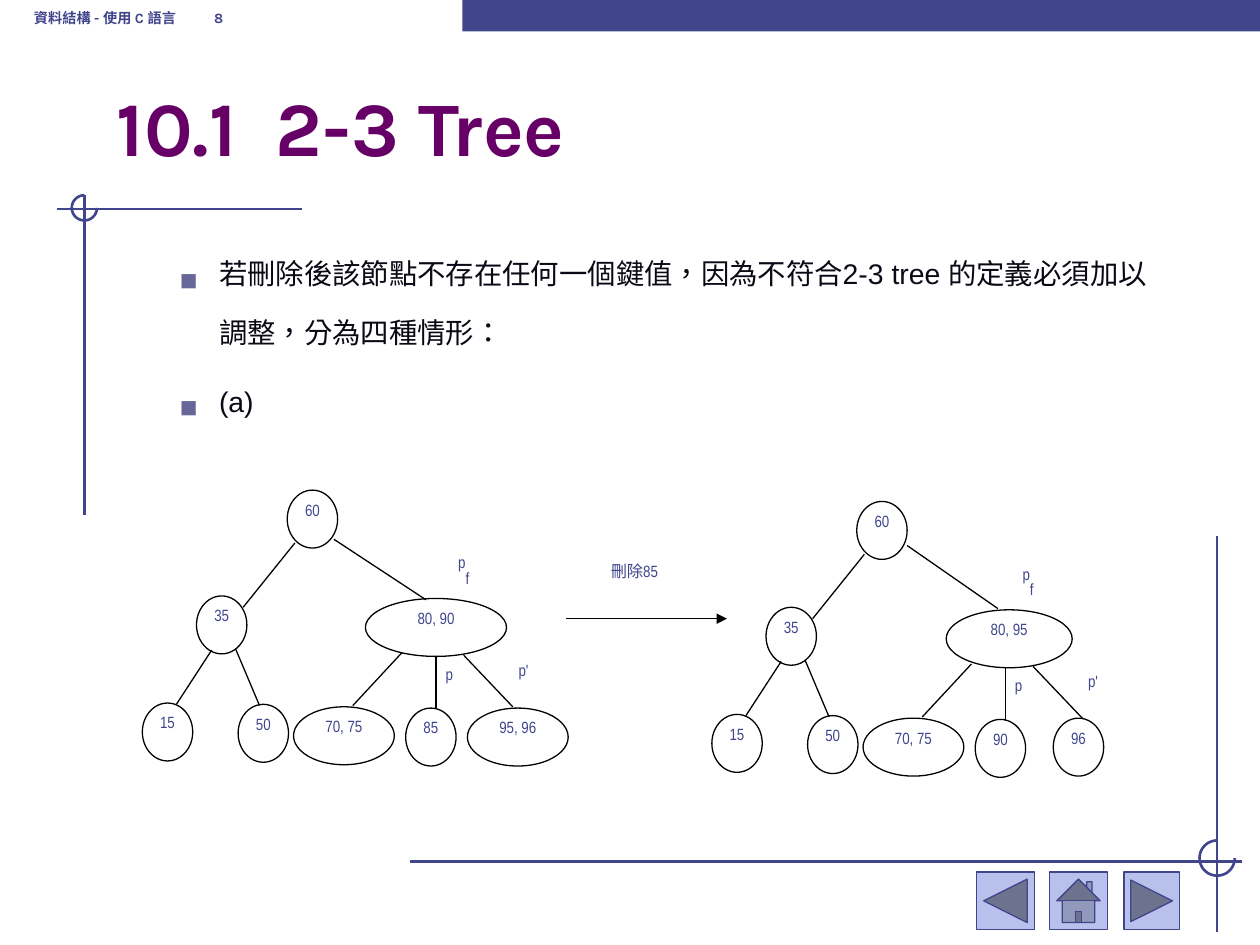
from math import cos, pi, sin
from lxml.etree import SubElement
from pptx import Presentation
from pptx.dml.color import RGBColor
from pptx.enum.shapes import MSO_CONNECTOR, MSO_SHAPE
from pptx.enum.text import MSO_ANCHOR, PP_ALIGN
from pptx.oxml.ns import qn
from pptx.util import Inches, Pt

NAVY, BLACK, PALE = "40458C", "000000", "B7C1EB"
RAISED, LOWERED = 30000, -25000
color = RGBColor.from_string

deck = Presentation()
deck.slide_width, deck.slide_height = Inches(10), Inches(7.5)
page = deck.slides.add_slide(deck.slide_layouts[6])


def add_line(start, end, ink=BLACK, width=0.75):
    ends = [Inches(value) for value in (*start, *end)]
    line = page.shapes.add_connector(MSO_CONNECTOR.STRAIGHT, *ends)
    line.line.color.rgb = color(ink)
    line.line.width = Pt(width)
    SubElement(line._element.spPr, qn("a:effectLst"))
    return line


def add_span(para, text, size, face, ink, bold=False, baseline=RAISED):
    span = para.add_run()
    span.text = text
    span.font.size = Pt(size)
    span.font.name = face
    span.font.bold = bold
    span.font.color.rgb = color(ink)
    span.font._element.set("lang", "zh-TW")
    if baseline:
        span.font._element.set("baseline", str(baseline))


# Frame lines with a three-quarter circle at each crossing
for start, end in [((2.4, 1.66), (0.45, 1.66)), ((0.67, 1.55), (0.67, 4.09)),
                   ((3.25, 6.84), (9.86, 6.84)), ((9.66, 4.25), (9.66, 7.4))]:
    add_line(start, end, NAVY, 1.5)

for x, y, radius in [(0.67, 1.65, 0.1), (9.66, 6.81, 0.14)]:
    angles = [pi / 2 + pi * step / 24 for step in range(37)]
    points = [(Inches(x + radius * cos(a)), Inches(y - radius * sin(a))) for a in angles]
    builder = page.shapes.build_freeform(*points[0])
    builder.add_line_segments(points[1:], close=False)
    arc = builder.convert_to_shape()
    arc.shadow.inherit = False
    arc.fill.background()
    arc.line.color.rgb = color(NAVY)
    arc.line.width = Pt(1.5)

# Top bar and navigation buttons
for kind, left, top, width, height, fill in [
    (MSO_SHAPE.RECTANGLE, 3.67, 0, 6.33, 0.25, NAVY),
    (MSO_SHAPE.ACTION_BUTTON_BACK_OR_PREVIOUS, 7.75, 6.92, 0.46, 0.46, PALE),
    (MSO_SHAPE.ACTION_BUTTON_HOME, 8.33, 6.92, 0.46, 0.46, PALE),
    (MSO_SHAPE.ACTION_BUTTON_FORWARD_OR_NEXT, 8.92, 6.92, 0.44, 0.46, PALE),
]:
    shape = page.shapes.add_shape(kind, Inches(left), Inches(top), Inches(width), Inches(height))
    shape.shadow.inherit = False
    shape.fill.solid()
    shape.fill.fore_color.rgb = color(fill)
    shape.line.color.rgb = color(NAVY)
    shape.line.width = Pt(0.75)
    if fill == NAVY:
        shape.line.fill.background()

# Running header, with the page number on a tab
header = page.shapes.add_textbox(Inches(0.17), Inches(-0.17), Inches(3.08), Inches(0.5))
header.text_frame.word_wrap = True
header.text_frame.vertical_anchor = MSO_ANCHOR.BOTTOM
para = header.text_frame.paragraphs[0]
tabs = SubElement(para._p.get_or_add_pPr(), qn("a:tabLst"))
SubElement(tabs, qn("a:tab"), pos=str(Inches(1.43)), algn="l")
add_span(para, "資料結構 - 使用 C 語言\t8", 14, "Karla", NAVY, True)

# Title
title = page.shapes.add_textbox(Inches(0.83), Inches(0.58), Inches(8.5), Inches(0.83))
title.text_frame.word_wrap = True
title.text_frame.vertical_anchor = MSO_ANCHOR.BOTTOM
add_span(title.text_frame.paragraphs[0], "10.1  2-3 Tree", 44, "Karla", "660066", True, 0)

# Bulleted body
body = page.shapes.add_textbox(Inches(0.83), Inches(1.94), Inches(8.41), Inches(4.07))
frame = body.text_frame
frame.word_wrap = True
for index, text in enumerate([
    "若刪除後該節點不存在任何一個鍵值，因為不符合2-3 tree 的定義必須加以調整，分為四種情形：",
    "(a)",
]):
    para = frame.add_paragraph() if index else frame.paragraphs[0]
    para.level = 1
    props = para._p.get_or_add_pPr()
    props.set("marL", str(Inches(0.81)))
    props.set("indent", str(Inches(-0.31)))
    bullet_color = SubElement(props, qn("a:buClr"))
    SubElement(bullet_color, qn("a:srgbClr"), val="666699")
    SubElement(props, qn("a:buSzPct"), val="60000")
    SubElement(props, qn("a:buFont"), typeface="Arial")
    SubElement(props, qn("a:buChar"), char="■")
    if index:
        para.space_before = Pt(5.6)
    add_span(para, text, 28, "Arial", "090A15")

# Trees before and after the deletion: the second one is the first one shifted
edges = [((1.93, 4.82), (2.34, 4.31)),
         ((1.4, 5.59), (1.68, 5.16)), ((1.87, 5.15), (2.06, 5.6)),
         ((2.8, 5.6), (3.19, 5.18)), ((3.46, 5.21), (3.46, 5.63)),
         ((3.68, 5.2), (4.07, 5.61))]
shared_nodes = [("60", 2.28, 3.89, 0.4), ("35", 1.56, 4.73, 0.4), ("15", 1.13, 5.58, 0.4),
                ("50", 1.89, 5.59, 0.4), ("70, 75", 2.33, 5.61, 0.8)]
before_nodes = [("80, 90", 2.9, 4.75, 1.12), ("85", 3.22, 5.62, 0.4), ("95, 96", 3.71, 5.62, 0.8)]
after_nodes = [("80, 95", 2.99, 4.75, 1), ("90", 3.22, 5.62, 0.4), ("96", 3.84, 5.61, 0.4)]
pointers = [("p", 3.39, 5.26, 0.35), ("p'", 3.98, 5.23, 0.35)]

nodes, labels = [], [("刪除85", "", 4.41, 4.36, 1.25, 0.56)]
for dx, dy, own_nodes, parent_x, right_edge in [
    (0, 0, before_nodes, 3.45, ((2.65, 4.28), (3.38, 4.76))),
    (4.52, 0.09, after_nodes, 7.93, ((7.2, 4.33), (7.92, 4.83))),
]:
    add_line(*right_edge)
    for start, end in edges:
        add_line((start[0] + dx, start[1] + dy), (end[0] + dx, end[1] + dy))
    nodes += [(text, "", x + dx, y + dy, width, 0.46) for text, x, y, width in shared_nodes + own_nodes]
    labels += [(text, "", x + dx, y + dy, width, 0.33) for text, x, y, width in pointers]
    labels.append(("p", "f", parent_x, 4.36 + dy, 0.46, 0.33))

for text, subscript, left, top, width, height in nodes + labels:
    place = [Inches(value) for value in (left, top, width, height)]
    if height == 0.33:
        box = page.shapes.add_textbox(*place)
    else:
        box = page.shapes.add_shape(MSO_SHAPE.OVAL, *place)
        box.shadow.inherit = False
        box.fill.background()
        box.line.color.rgb = color(BLACK)
        box.line.width = Pt(0.75)
        if height == 0.56:
            box.line.fill.background()
    frame = box.text_frame
    frame.word_wrap = True
    frame.vertical_anchor = MSO_ANCHOR.TOP
    frame.margin_left = frame.margin_right = frame.margin_top = frame.margin_bottom = 0
    para = frame.paragraphs[0]
    para.alignment = PP_ALIGN.CENTER
    para.line_spacing = 0.96
    add_span(para, text, 16, "Arial Narrow", NAVY)
    if subscript:
        add_span(para, subscript, 16, "Arial Narrow", NAVY, baseline=LOWERED)

# Deletion arrow
arrow = add_line((4.49, 4.91), (5.77, 4.91))
SubElement(arrow.line._get_or_add_ln(), qn("a:tailEnd"), type="triangle")

deck.save("out.pptx")
